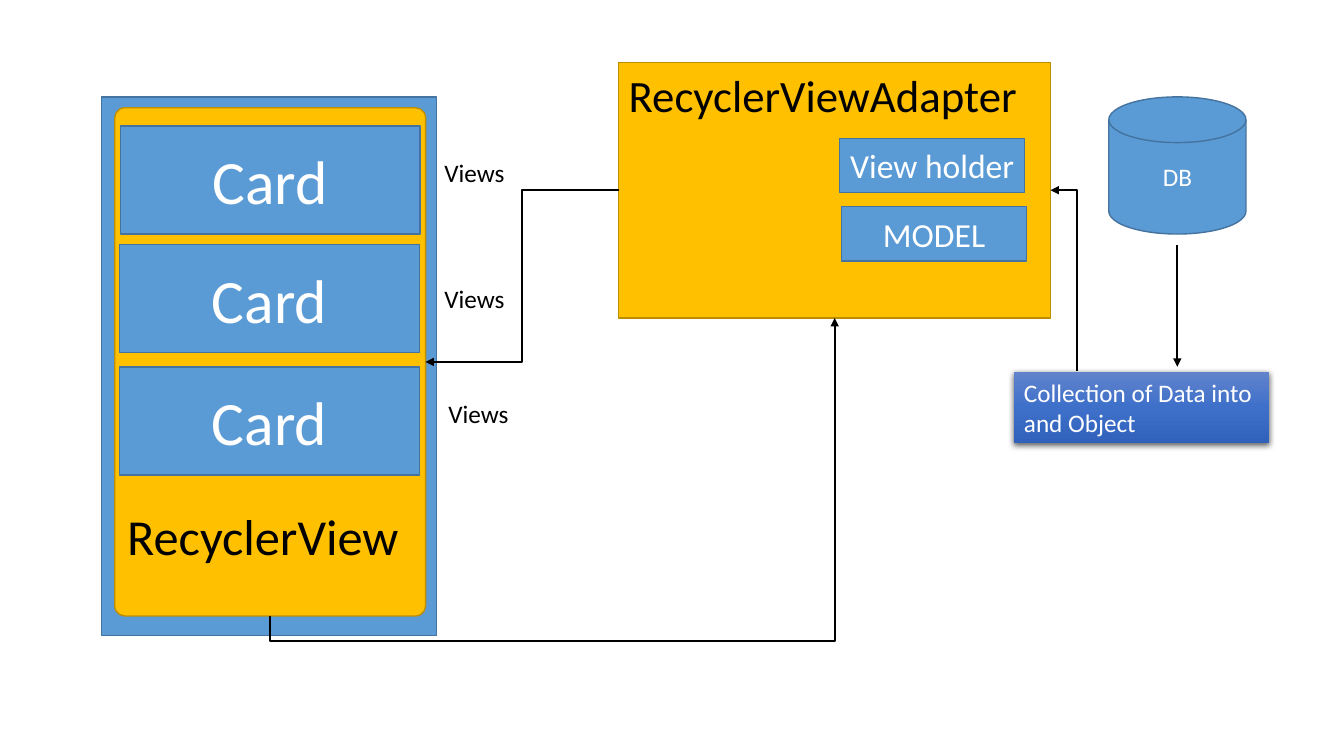
import copy

import lxml.etree
import pptx
import pptx.chart.data
import pptx.dml.color
import pptx.enum.shapes
import pptx.enum.text
import pptx.oxml.ns
import pptx.util

Pt = pptx.util.Pt
KIND = pptx.enum.shapes.MSO_SHAPE
WIRE = pptx.enum.shapes.MSO_CONNECTOR
ALIGN = pptx.enum.text.PP_ALIGN
ANCHOR = pptx.enum.text.MSO_ANCHOR
qn = pptx.oxml.ns.qn

COLORS = {"blue": "5B9BD5", "blue edge": "43739E", "gold": "FFC000",
          "gold edge": "BD8E00", "black": "000000", "white": "FFFFFF"}
FONT = "Calibri"

# Boxes are left, top, width, height in points.
ADAPTER = (442, 44.6, 308.4, 182.6)
SCREEN = (72.7, 69.2, 239, 385)
DATABASE = (792, 69.2, 98, 98)
RECYCLER = (82, 77, 222, 363)
COLLECTION = (724.3, 265.7, 182, 51)
CARDS = [(86, 90), (85.5, 174.7), (85.5, 262)]
CARD_SIZE = (214, 77.3)
PARTS = [("MODEL", 601.2, 147.6), ("View holder", 599.8, 98.8)]
PART_SIZE = (132, 38.9)
VIEWS = [(310.3, 109), (310.3, 199), (313.2, 281)]
COLLECTION_TEXT = "Collection of Data into and Object"
COLLECTION_STOPS = [(0, "6183CB"), (0.5, "3E70CA"), (1, "3062BB")]

deck = pptx.Presentation()
deck.slide_width, deck.slide_height = Pt(960), Pt(540)
page = deck.slides.add_slide(deck.slide_layouts[6])


def rgb(name):
    return pptx.dml.color.RGBColor.from_string(COLORS[name])


def write(shape, text, size, color, align=ALIGN.LEFT, anchor=ANCHOR.TOP):
    frame = shape.text_frame
    frame.word_wrap = True
    frame.vertical_anchor = anchor
    para = frame.paragraphs[0]
    para.alignment = align
    span = para.add_run()
    span.text = text
    span.font.name, span.font.size = FONT, Pt(size)
    span.font.color.rgb = rgb(color)


def add_box(box, color, text="", size=18, kind=KIND.RECTANGLE):
    shape = page.shapes.add_shape(kind, *map(Pt, box))
    shape.shadow.inherit = False
    shape.fill.solid()
    shape.fill.fore_color.rgb = rgb(color)
    shape.line.color.rgb = rgb(color + " edge")
    shape.line.width = Pt(1)
    if text:
        write(shape, text, size, "white", ALIGN.CENTER, ANCHOR.MIDDLE)
    return shape


def add_label(box, text, size):
    write(page.shapes.add_textbox(*map(Pt, box)), text, size, "black")


def add_collection():
    """Add the box with a three-stop gradient and a soft shadow below."""
    shape = page.shapes.add_shape(KIND.RECTANGLE, *map(Pt, COLLECTION))
    shape.line.fill.background()
    shape.fill.gradient()
    shape.fill.gradient_angle = 270
    properties = shape._element.spPr
    stop_list = properties.find(qn("a:gradFill")).find(qn("a:gsLst"))
    stop_list.append(copy.deepcopy(stop_list[0]))
    for stop, (position, color) in zip(shape.fill.gradient_stops, COLLECTION_STOPS):
        stop.position = position
        stop.color.rgb = pptx.dml.color.RGBColor.from_string(color)
    shape.shadow.inherit = False
    shadow = lxml.etree.SubElement(
        properties.find(qn("a:effectLst")), qn("a:outerShdw"),
        blurRad=str(Pt(4.5)), dist=str(Pt(1.5)), dir="5400000", rotWithShape="0")
    black = lxml.etree.SubElement(shadow, qn("a:srgbClr"), val=COLORS["black"])
    lxml.etree.SubElement(black, qn("a:alpha"), val="63000")
    write(shape, COLLECTION_TEXT, 18, "white")


def add_arrow(start, end, kind=WIRE.ELBOW, turn=0, preset=None, bend=None):
    """Join two points; a turn of 90 or 270 makes an elbow leave vertically."""
    middle = [(a + b) / 2 for a, b in zip(start, end)]
    x, y = [(b - a) / 2 for a, b in zip(start, end)]
    x, y = {0: (x, y), 90: (y, -x), 270: (-y, x)}[turn]
    ends = (middle[0] - x, middle[1] - y, middle[0] + x, middle[1] + y)
    arrow = page.shapes.add_connector(kind, *map(Pt, ends))
    arrow.line.color.rgb = rgb("black")
    arrow.line.width = Pt(1.5)
    properties = arrow._element.spPr
    lxml.etree.SubElement(properties.find(qn("a:ln")), qn("a:tailEnd"), type="triangle")
    lxml.etree.SubElement(properties, qn("a:effectLst"))
    if turn:
        properties.find(qn("a:xfrm")).set("rot", str(turn * 60000))
    geometry = properties.find(qn("a:prstGeom"))
    if preset:
        geometry.set("prst", preset)
    if bend is not None:
        guides = geometry.find(qn("a:avLst"))
        lxml.etree.SubElement(guides, qn("a:gd"), name="adj1", fmla=f"val {bend}")


add_box(ADAPTER, "gold")
add_box(SCREEN, "blue")
add_box(DATABASE, "blue", "DB", kind=KIND.FLOWCHART_MAGNETIC_DISK)
add_box(RECYCLER, "gold", kind=KIND.ROUNDED_RECTANGLE).adjustments[0] = 0.032
for spot in CARDS:
    add_box(spot + CARD_SIZE, "blue", "Card", 44)
add_label((83.8, 357, 217, 51), "RecyclerView", 36)
for spot in VIEWS:
    add_label(spot + (137, 29), "Views", 18)
add_collection()
for name, left, top in PARTS:
    add_box((left, top) + PART_SIZE, "blue", name, 24)
add_label((442, 44.6, 312.5, 46), "RecyclerViewAdapter", 32)

adapter_right = ADAPTER[0] + ADAPTER[2]
adapter_center = ADAPTER[0] + ADAPTER[2] / 2
adapter_middle = ADAPTER[1] + ADAPTER[3] / 2
adapter_bottom = ADAPTER[1] + ADAPTER[3]
recycler_right = RECYCLER[0] + RECYCLER[2]
recycler_center = RECYCLER[0] + RECYCLER[2] / 2
recycler_middle = RECYCLER[1] + RECYCLER[3] / 2
recycler_bottom = RECYCLER[1] + RECYCLER[3]
database_center = DATABASE[0] + DATABASE[2] / 2

add_arrow((database_center, 175), (database_center, 262), WIRE.STRAIGHT)
add_arrow((769, 265), (adapter_right, adapter_middle), turn=270, preset="bentConnector2")
add_arrow((ADAPTER[0], adapter_middle), (recycler_right, recycler_middle))
add_arrow((recycler_center, recycler_bottom), (adapter_center, adapter_bottom),
          turn=90, bend=-8400)

deck.save("out.pptx")
